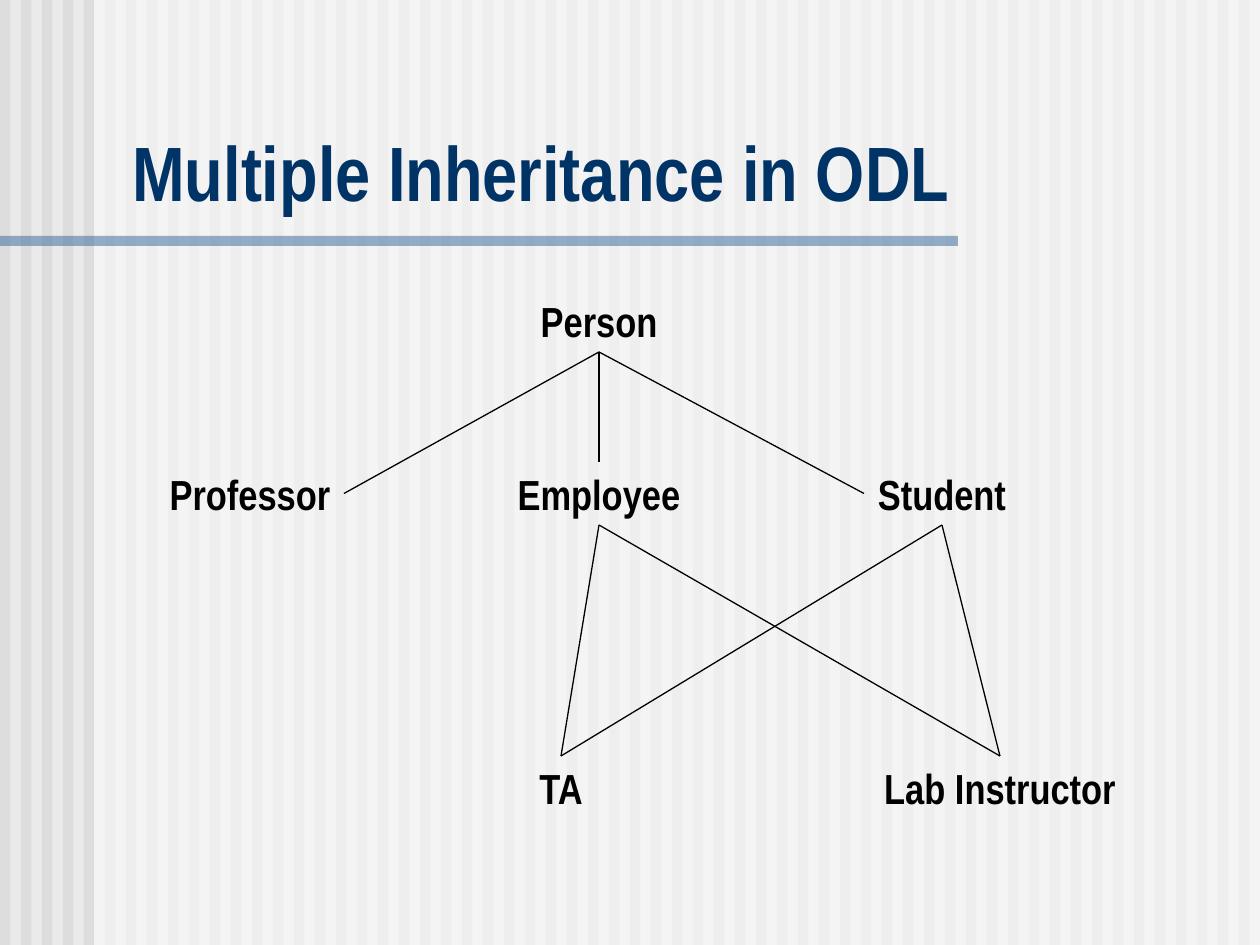
import pptx
import pptx.util
import pptx.dml.color
import pptx.enum.shapes
import pptx.enum.text
import pptx.oxml.ns
from lxml import etree

THEME = {
    "font": "Arial Narrow",
    "title_size": 44,
    "label_size": 24,
    "line_width": 0.75,
    "background": "EAEAEA",
    "stripe": "DDDDDD",
    "veil": "FFFFFF",
    "rule": "336699",
    "title": "003366",
    "ink": "000000",
}
WIDTH, HEIGHT = 1260, 945
SCALE = 914400 / 126
STRIPE_PITCH = 21
LABEL_HEIGHT = 63
TOP, BOTTOM, LEFT, RIGHT = 0, 2, 1, 3

TITLE = "Multiple Inheritance in ODL"
TITLE_BOX = (120, 118, 1125, 105)
OVERLAYS = [
    ((94, 0, WIDTH - 94, HEIGHT), "veil"),
    ((0, 236, 958, 10), "rule"),
]
ROWS = [289, 462, 756]
CLASSES = [
    ("Person", 0, 599, 144),
    ("Professor", 1, 250, 188),
    ("Employee", 1, 599, 190),
    ("Student", 1, 942, 156),
    ("TA", 2, 561, 74),
    ("Lab Instructor", 2, 1000, 262),
]
INHERITANCE = [
    ("Person", "Professor", RIGHT),
    ("Person", "Employee", TOP),
    ("Person", "Student", LEFT),
    ("Employee", "TA", TOP),
    ("Student", "TA", TOP),
    ("Employee", "Lab Instructor", TOP),
    ("Student", "Lab Instructor", TOP),
]


def emu(*lengths):
    return [pptx.util.Emu(round(n * SCALE)) for n in lengths]


def color(name):
    return pptx.dml.color.RGBColor.from_string(THEME[name])


def add_rect(slide, box, fill, opacity=100):
    sp = slide.shapes.add_shape(pptx.enum.shapes.MSO_SHAPE.RECTANGLE, *emu(*box))
    sp.shadow.inherit = False
    sp.fill.solid()
    sp.fill.fore_color.rgb = color(fill)
    sp.line.fill.background()
    if opacity < 100:
        clr = sp.fill._xPr.find(".//" + pptx.oxml.ns.qn("a:srgbClr"))
        etree.SubElement(clr, pptx.oxml.ns.qn("a:alpha"), val=str(opacity * 1000))


def add_text(slide, text, box, size, ink, align, anchor, wrap):
    sp = slide.shapes.add_textbox(*emu(*box))
    tf = sp.text_frame
    tf.text = text
    tf.word_wrap = wrap
    if not wrap:
        tf.auto_size = pptx.enum.text.MSO_AUTO_SIZE.SHAPE_TO_FIT_TEXT
    tf.vertical_anchor = anchor
    p = tf.paragraphs[0]
    p.alignment = align
    font = p.runs[0].font
    font.name = THEME["font"]
    font.size = pptx.util.Pt(THEME[size])
    font.bold = True
    font.color.rgb = color(ink)
    return sp


def add_link(slide, parent, child, side):
    line = slide.shapes.add_connector(pptx.enum.shapes.MSO_CONNECTOR.STRAIGHT, 0, 0, 0, 0)
    line.begin_connect(parent, BOTTOM)
    line.end_connect(child, side)
    line.line.color.rgb = color("ink")
    line.line.width = pptx.util.Pt(THEME["line_width"])
    etree.SubElement(line._element.spPr, pptx.oxml.ns.qn("a:effectLst"))


def main():
    align = pptx.enum.text.PP_ALIGN
    anchor = pptx.enum.text.MSO_ANCHOR
    prs = pptx.Presentation()
    prs.slide_width, prs.slide_height = emu(WIDTH, HEIGHT)
    s = prs.slides.add_slide(prs.slide_layouts[6])
    s.background.fill.solid()
    s.background.fill.fore_color.rgb = color("background")

    for x in range(0, WIDTH, STRIPE_PITCH):
        add_rect(s, (x, 0, STRIPE_PITCH / 2, HEIGHT), "stripe")
    for box, fill in OVERLAYS:
        add_rect(s, box, fill, opacity=50)

    add_text(s, TITLE, TITLE_BOX, "title_size", "title", align.LEFT, anchor.BOTTOM, True)
    labels = {}
    for name, row, center, width in CLASSES:
        box = (center - width / 2, ROWS[row], width, LABEL_HEIGHT)
        labels[name] = add_text(s, name, box, "label_size", "ink", align.CENTER, anchor.TOP, False)
    for parent, child, side in INHERITANCE:
        add_link(s, labels[parent], labels[child], side)

    prs.save("out.pptx")


if __name__ == "__main__":
    main()
